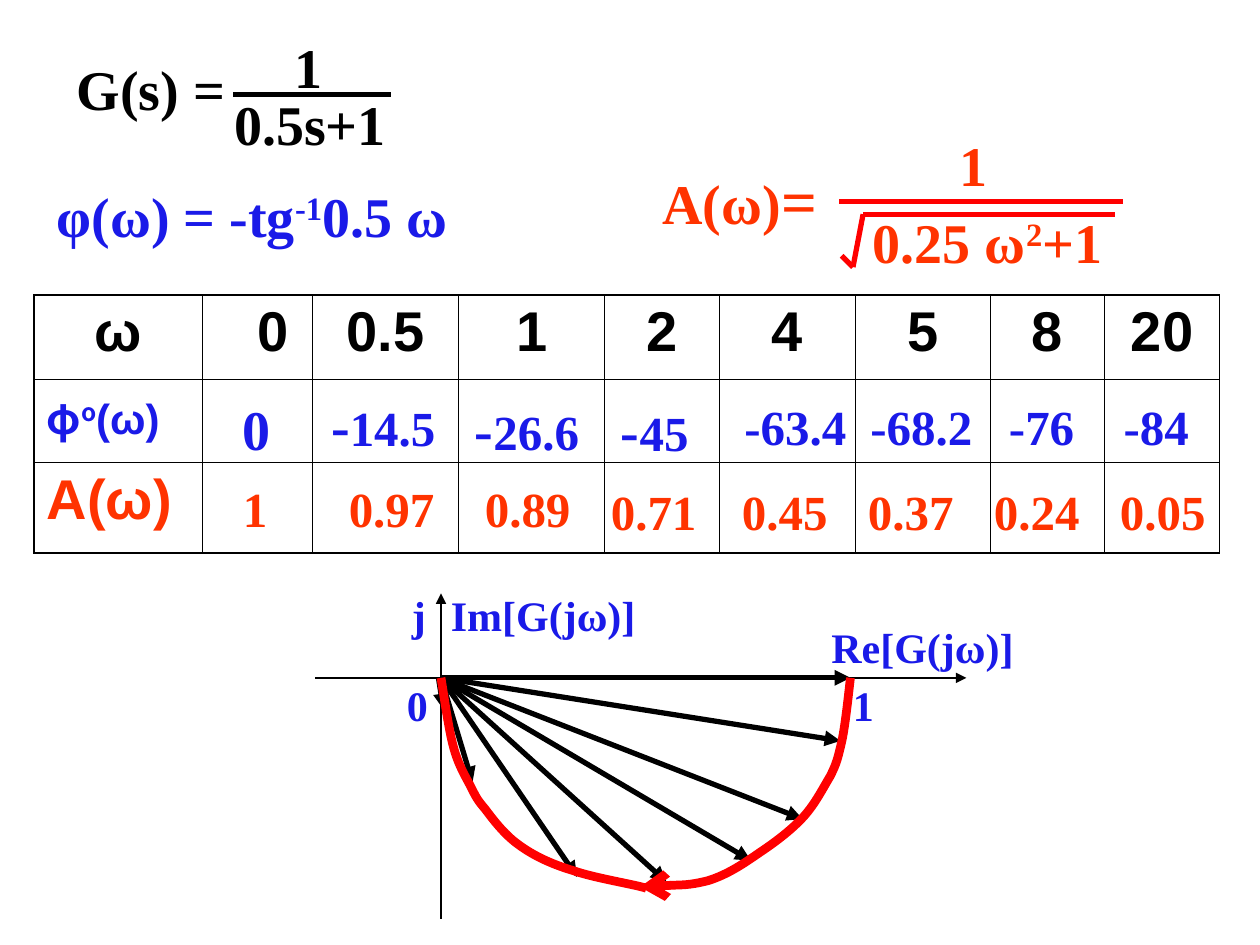
from lxml import etree
from pptx import Presentation
from pptx import util as u
from pptx.dml.color import RGBColor
from pptx.enum import shapes, text
from pptx.oxml.ns import qn

BLACK = RGBColor(0x00, 0x00, 0x00)
BLUE = RGBColor(0x1A, 0x1A, 0xE8)
ORANGE = RGBColor(0xFF, 0x33, 0x00)
RED = RGBColor(0xFF, 0x00, 0x00)
SERIF, SANS, CJK = "Times New Roman", "Arial", "Noto Sans CJK SC"

deck = Presentation()
deck.slide_width, deck.slide_height = u.Inches(10), u.Inches(7.5)
page = deck.slides.add_slide(deck.slide_layouts[6])
# The page is a grid of 1000 columns by 750 rows of square cells
CELL = deck.slide_width // 1000


def add_runs(para, runs, color):
    """Each run is (wording, size, font, raised)."""
    for wording, size, font, raised in runs:
        span = para.add_run()
        span.text = wording
        span.font.size, span.font.name = u.Pt(size), font
        span.font.bold = True
        span.font.color.rgb = color
        if raised:
            span.font._element.set("baseline", "30000")


def style_line(shape, color, width, head=None):
    shape.line.color.rgb = color
    shape.line.width = u.Pt(width)
    properties = shape.element.spPr
    if head:
        etree.SubElement(properties.find(qn("a:ln")), qn("a:tailEnd"), type=head)
    if properties.find(qn("a:effectLst")) is None:
        etree.SubElement(properties, qn("a:effectLst"))


# Fraction bars, root sign, vectors from the origin, axes
ORIGIN = (350, 538)
vector_tips = [(675, 538), (667, 588), (637, 650), (596, 683),
               (529, 700), (458, 696), (375, 621)]
lines = [
    ((185, 75), (310, 75), BLACK, 3, None),
    ((666, 160), (891, 160), RED, 3, None),
    ((685, 170), (885, 170), RED, 3, None),
    ((685, 170), (677, 212), RED, 3, None),
    ((677, 212), (668, 203), RED, 3, None),
    *[(ORIGIN, tip, BLACK, 3, "triangle") for tip in vector_tips],
    ((348, 538), (352, 563), BLACK, 3, "triangle"),
    ((250, 538), (767, 538), BLACK, 0.75, "triangle"),
    ((350, 729), (350, 471), BLACK, 0.75, "triangle"),
]
for start, end, color, width, head in lines:
    line = page.shapes.add_connector(
        shapes.MSO_CONNECTOR.STRAIGHT, *[CELL * n for n in start + end])
    style_line(line, color, width, head)

# Frequency response curve: a start, then three Bezier points per segment
right_half = [(675, 538), (674, 546), (671, 576), (668, 589),
              (665, 602), (664, 606), (659, 616),
              (653, 626), (647, 638), (638, 648),
              (629, 658), (616, 668), (604, 676),
              (591, 685), (578, 694), (562, 699),
              (546, 703), (520, 703), (508, 704)]
left_half = [(513, 705), (504, 702), (472, 697), (455, 691),
             (438, 686), (423, 679), (411, 670),
             (400, 662), (391, 650), (385, 642),
             (379, 635), (378, 633), (374, 625),
             (370, 617), (364, 608), (360, 593),
             (356, 579), (352, 549), (350, 538)]
for points, head in ((right_half, "arrow"), (left_half, None)):
    builder = page.shapes.build_freeform(*points[0], scale=CELL)
    builder.add_line_segments(points[1:], close=False)
    curve = builder.convert_to_shape()
    curve.shadow.inherit = False
    curve.fill.background()
    style_line(curve, RED, 5, head)
    outline = curve.element.find(".//" + qn("a:path"))
    steps = outline.findall(qn("a:lnTo"))
    for first in range(0, len(steps), 3):
        bezier = etree.SubElement(outline, qn("a:cubicBezTo"))
        for step in steps[first:first + 3]:
            bezier.append(step[0])
            outline.remove(step)

# Table of frequency, phase and amplitude
columns = [134, 87, 116, 116, 91, 108, 107, 91, 91]
rows = [67, 66, 72]
frame = page.shapes.add_table(len(rows), len(columns), 27 * CELL, 234 * CELL,
                              sum(columns) * CELL, sum(rows) * CELL)
table = frame.table
table.first_row = table.horz_banding = False
for column, width in zip(table.columns, columns):
    column.width = width * CELL
for row, height in zip(table.rows, rows):
    row.height = height * CELL

for r in range(len(rows)):
    for c in range(len(columns)):
        cell = table.cell(r, c)
        outer = {"lnL": c == 0, "lnR": c == len(columns) - 1,
                 "lnT": r == 0, "lnB": r == len(rows) - 1}
        for side, is_outer in outer.items():
            border = etree.SubElement(cell._tc.get_or_add_tcPr(), qn("a:" + side),
                                      w=str(u.Pt(1.08 if is_outer else 0.45)))
            fill = etree.SubElement(border, qn("a:solidFill"))
            etree.SubElement(fill, qn("a:srgbClr"), val=str(BLACK))
        cell.fill.background()

for c, wording in enumerate(["ω", "0", "0.5", "1", "2", "4", "5", "8", "20"]):
    para = table.cell(0, c).text_frame.paragraphs[0]
    para.alignment = text.PP_ALIGN.CENTER
    add_runs(para, [(wording, 32, SANS, False)], BLACK)
table.cell(0, 1).margin_left = 35 * CELL
row_labels = [
    ([("φ", 24, CJK, False), ("o", 24, CJK, True), ("(ω)", 24, SANS, False)], BLUE),
    ([("A(ω)", 32, SANS, False)], ORANGE),
]
for r, (runs, color) in enumerate(row_labels, 1):
    add_runs(table.cell(r, 0).text_frame.paragraphs[0], runs, color)

# Text boxes: left, top, width, height, color, runs, tab stops
labels = [
    # Transfer function
    (51, 38, 142, 64, BLACK, [("G(s) =", 32)], ()),
    (176, 66, 175, 64, BLACK, [("0.5s+1", 32)], ()),
    (224, 21, 50, 64, BLACK, [("1", 32)], ()),
    # Amplitude and phase formulas
    (683, 160, 225, 64, ORANGE, [("0.25 ω", 32), ("2", 32, True), ("+1", 32)], ()),
    (516, 123, 168, 70, ORANGE, [("A(ω)", 32), ("=", 36)], ()),
    (752, 99, 50, 64, ORANGE, [("1", 32)], ()),
    (35, 139, 375, 64, BLUE,
     [("φ(ω) = -tg", 32), ("-1", 32, True), ("0.5 ω", 32)], ()),
    # Axis labels
    (317, 463, 50, 50, BLUE, [("j", 24)], ()),
    (313, 534, 42, 50, BLUE, [("0", 24)], ()),
    (667, 534, 58, 50, BLUE, [("1", 24)], ()),
    (348, 463, 167, 50, BLUE, [("Im[G(jω)]", 24)], ()),
    (650, 488, 192, 50, BLUE, [("Re[G(jω)]", 24)], ()),
    # Phase values
    (183, 308, 42, 64, BLUE, [("0", 32)], ()),
    (253, 305, 117, 64, BLUE, [("-", 32), ("14.5", 28)], ()),
    (367, 308, 108, 64, BLUE, [("-", 32), ("26.6", 28)], ()),
    (483, 309, 83, 64, BLUE, [("-", 32), ("45", 28)], ()),
    (581, 310, 383, 57, BLUE, [("-63.4\t-68.2\t-76\t-84", 28)], (100, 210, 301)),
    # Amplitude values
    (183, 375, 58, 57, ORANGE, [("1", 28)], ()),
    (267, 375, 100, 57, ORANGE, [("0.97", 28)], ()),
    (375, 375, 100, 57, ORANGE, [("0.89", 28)], ()),
    (475, 377, 100, 57, ORANGE, [("0.71", 28)], ()),
    (579, 377, 396, 57, ORANGE, [("0.45\t0.37\t0.24\t0.05", 28)], (100, 200, 300)),
]
for left, top, width, height, color, runs, stops in labels:
    box = page.shapes.add_textbox(*[CELL * n for n in (left, top, width, height)])
    box.text_frame.word_wrap = True
    box.text_frame.auto_size = text.MSO_AUTO_SIZE.SHAPE_TO_FIT_TEXT
    para = box.text_frame.paragraphs[0]
    if stops:
        tabs = etree.SubElement(para._p.get_or_add_pPr(), qn("a:tabLst"))
        for stop in stops:
            etree.SubElement(tabs, qn("a:tab"), pos=str(stop * CELL), algn="l")
    add_runs(para, [(wording, size, SERIF, bool(raised))
                    for wording, size, *raised in runs], color)

deck.save("out.pptx")
